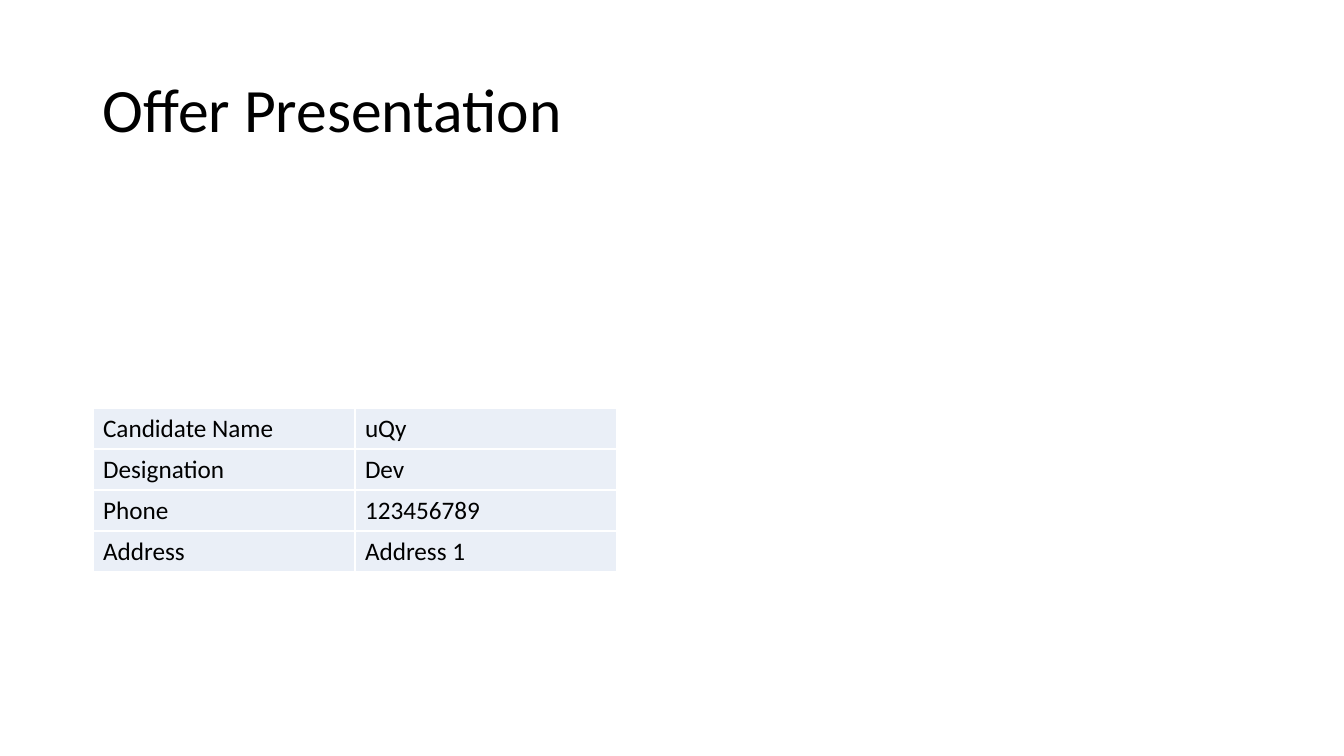
"""Build the offer presentation slide with a title and a candidate table."""
from pptx import Presentation
from pptx.dml.color import RGBColor
from pptx.enum.text import MSO_ANCHOR
from pptx.util import Emu, Pt

COLORS = {"text": "000000", "cell": "EAEFF7"}
FONT = "Calibri"
DETAILS = [
    ("Candidate Name", "uQy"),
    ("Designation", "Dev"),
    ("Phone", "123456789"),
    ("Address", "Address 1"),
]
LEFT = 93
COL, ROW = 262, 41


def px(count):
    return Emu(round(count * 914400 / 100.8))


def write(frame, text, size=18, color="text", spacing=None):
    frame.word_wrap = True
    para = frame.paragraphs[0]
    para.line_spacing = spacing
    run = para.add_run()
    run.text = text
    run.font.name = FONT
    run.font.size = Pt(size)
    run.font.bold = False
    run.font.color.rgb = RGBColor.from_string(COLORS[color])


deck = Presentation()
deck.slide_width, deck.slide_height = px(1344), px(756)
slide = deck.slides.add_slide(deck.slide_layouts[6])

title = slide.shapes.add_textbox(px(LEFT), px(40), px(1159), px(146))
title.text_frame.vertical_anchor = MSO_ANCHOR.MIDDLE
write(title.text_frame, "Offer Presentation", size=44, spacing=0.9)

table = slide.shapes.add_table(
    len(DETAILS), 2, px(LEFT), px(408), px(2 * COL), px(len(DETAILS) * ROW)
).table
table.first_row = False
table.horz_banding = False
for column in table.columns:
    column.width = px(COL)
for row, detail in zip(table.rows, DETAILS):
    row.height = px(ROW)
    for cell, text in zip(row.cells, detail):
        cell.fill.solid()
        cell.fill.fore_color.rgb = RGBColor.from_string(COLORS["cell"])
        write(cell.text_frame, text)

deck.save("out.pptx")
